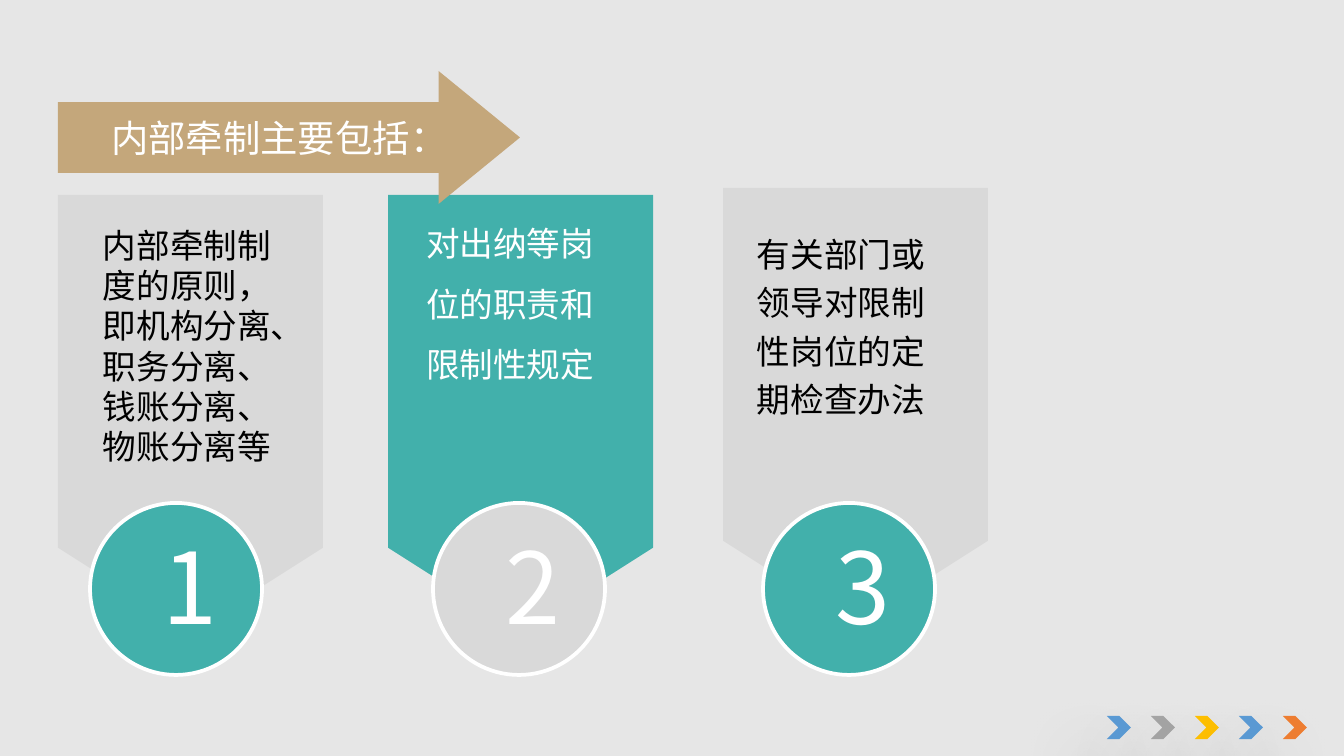
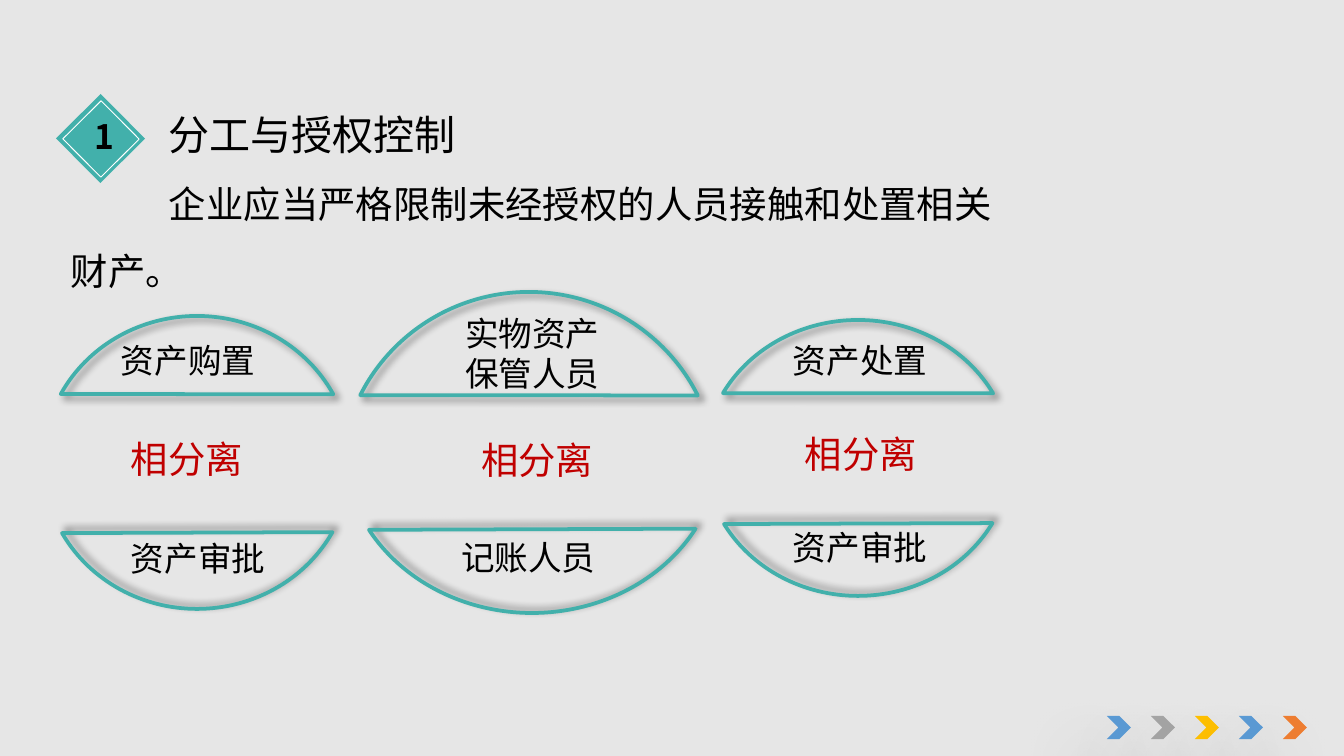
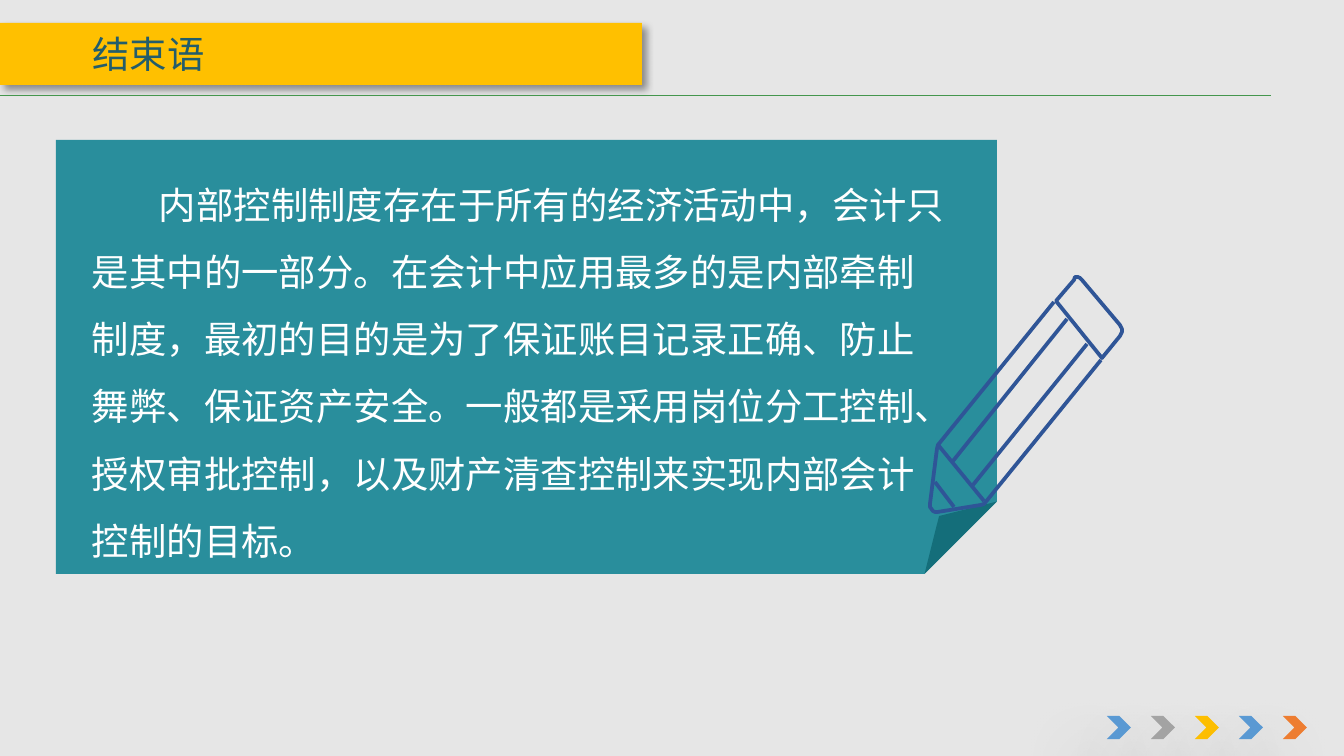
from lxml.etree import SubElement
from pptx import Presentation
from pptx.dml.color import RGBColor
from pptx.enum.shapes import MSO_CONNECTOR, MSO_SHAPE
from pptx.enum.text import MSO_ANCHOR, PP_ALIGN
from pptx.oxml.ns import qn
from pptx.util import Emu, Pt

SCALE = 914400 / 134.4
FONT = "Noto Sans CJK SC"
COLORS = {
    "back": "E6E6E6", "white": "FFFFFF", "black": "000000",
    "teal": "42B0AB", "gray": "D9D9D9", "sand": "C4A77B",
    "red": "C00000", "gold": "FFC000", "sky": "5B9BD5",
    "steel": "A5A5A5", "orange": "ED7D31", "note": "178695",
    "ink": "235D6B", "pen": "2F5597", "rule": "44964D",
}
CAST = (40, 4, 3, 45)
LIFT = (40, 4, 3, 315)
GLOW = (38, 36, 24, 130)


def px(size):
    return Emu(round(size * SCALE))


def color(name):
    return RGBColor.from_string(COLORS[name])


class Deck:
    def __init__(self):
        self.file = Presentation()
        self.file.slide_width = px(1344)
        self.file.slide_height = px(756)
        self.slide = None

    def page(self):
        self.slide = self.file.slides.add_slide(self.file.slide_layouts[6])
        fill = self.slide.background.fill
        fill.solid()
        fill.fore_color.rgb = color("back")
        for i, name in enumerate(("sky", "steel", "gold", "sky", "orange")):
            self.shape(MSO_SHAPE.CHEVRON, 1107 + 44 * i, 716, 24, 23, name, cast=GLOW)

    def style(self, shape, fill=None, line=None, width=2, cast=None):
        shape.shadow.inherit = False
        if fill:
            shape.fill.solid()
            shape.fill.fore_color.rgb = color(fill)
        else:
            shape.fill.background()
        if line:
            shape.line.color.rgb = color(line)
            shape.line.width = Pt(width)
        else:
            shape.line.fill.background()
        if cast:
            self.shade(shape, *cast)

    def shade(self, shape, alpha, blur, gap, angle):
        effects = shape._element.spPr.find(qn("a:effectLst"))
        outer = SubElement(effects, qn("a:outerShdw"), blurRad=str(Pt(blur)),
                           dist=str(Pt(gap)), dir=str(angle * 60000),
                           algn="tl", rotWithShape="0")
        tint = SubElement(outer, qn("a:srgbClr"), val=COLORS["black"])
        SubElement(tint, qn("a:alpha"), val=str(alpha * 1000))

    def shape(self, kind, x, y, w, h, fill=None, line=None, width=2,
              cast=None, turn=0, tweak=(), flip=False, alpha=100):
        shape = self.slide.shapes.add_shape(kind, px(x), px(y), px(w), px(h))
        for i, value in enumerate(tweak):
            shape.adjustments[i] = value
        shape.rotation = turn
        self.style(shape, fill, line, width, cast)
        if flip:
            shape._element.spPr.xfrm.set("flipV", "1")
        if alpha < 100:
            tint = shape._element.spPr.find(qn("a:solidFill"))[0]
            SubElement(tint, qn("a:alpha"), val=str(alpha * 1000))

    def text(self, lines, x, y, w, h, size=18, ink="black", space=1, indent=0,
             align=PP_ALIGN.LEFT, anchor=MSO_ANCHOR.TOP, left=13, bold=False):
        frame = self.slide.shapes.add_textbox(px(x), px(y), px(w), px(h)).text_frame
        frame.word_wrap = True
        frame.vertical_anchor = anchor
        frame.margin_left = px(left)
        if isinstance(lines, str):
            lines = [(lines, size)]
        for i, (words, points) in enumerate(lines):
            para = frame.add_paragraph() if i else frame.paragraphs[0]
            para.text = words
            para.alignment = align
            para.line_spacing = space
            props = para._p.get_or_add_pPr()
            if indent:
                props.set("marL", "0")
                props.set("indent", str(px(indent)))
            font = para.font
            font.size = Pt(points)
            font.bold = bold
            font.name = FONT
            font.color.rgb = color(ink)
            SubElement(props.find(qn("a:defRPr")), qn("a:ea"), typeface=FONT)

    def line(self, x, y, right, end, ink, width):
        line = self.slide.shapes.add_connector(
            MSO_CONNECTOR.STRAIGHT, px(x), px(y), px(right), px(end))
        line.line.color.rgb = color(ink)
        line.line.width = Pt(width)
        SubElement(line._element.spPr, qn("a:effectLst"))

    def trace(self, points, ink, close):
        pen = self.slide.shapes.build_freeform(*points[0], scale=SCALE)
        pen.add_line_segments(points[1:], close=close)
        self.style(pen.convert_to_shape(), line=ink)


def parts(deck):
    deck.page()
    for x, y, fill in ((-28, 281, "gray"), (302, 281, "teal"), (637, 274, "gray")):
        deck.shape(MSO_SHAPE.PENTAGON, x, y, 437, 265, fill, turn=90, tweak=[0.318])
    deck.text("内部牵制制度的原则，即机构分离、职务分离、钱账分离、物账分离等",
              90, 218, 214, 258)
    deck.text("对出纳等岗位的职责和限制性规定", 426, 218, 190, 173,
              ink="white", space=1.5, anchor=MSO_ANCHOR.BOTTOM, left=0)
    deck.text("有关部门或领导对限制性岗位的定期检查办法", 757, 253, 212, 173,
              space=1.2, anchor=MSO_ANCHOR.BOTTOM, left=0)
    for num, x, fill in (("1", 90, "teal"), ("2", 433, "gray"), ("3", 763, "teal")):
        deck.shape(MSO_SHAPE.OVAL, x, 503, 172, 172, fill, "white")
        deck.text(num, x + 59, 519, 52, 87, 53, "white", align=PP_ALIGN.CENTER)
    deck.shape(MSO_SHAPE.RIGHT_ARROW, 58, 71, 462, 133, "sand", tweak=[0.532, 0.612])
    deck.text("内部牵制主要包括：", 19, 109, 446, 48, 20, "white", indent=79)


def duties(deck):
    deck.page()
    deck.text([("分工与授权控制", 22),
               ("企业应当严格限制未经授权的人员接触和处置相关财产。", 20)],
              58, 78, 972, 214, space=1.5, indent=98)
    caps = (
        ((43, 316, 308, 293), (43, 316, 308, 293)),
        ((704, 320, 308, 282), (704, 312, 308, 284)),
        ((340, 292, 378, 376), (343, 276, 378, 337)),
    )
    for top, base in caps:
        deck.shape(MSO_SHAPE.CHORD, *top, line="teal", cast=CAST,
                   tweak=[124.004, 200.056])
        deck.shape(MSO_SHAPE.CHORD, *base, line="teal", cast=LIFT,
                   tweak=[124.584, 199.666], flip=True)
    labels = (
        ("资产购置", 108, 333, 171, 56), ("资产审批", 118, 531, 171, 56),
        ("资产处置", 780, 333, 171, 54), ("资产审批", 780, 520, 171, 54),
        ("实物资产保管人员", 452, 306, 192, 95), ("记账人员", 448, 530, 192, 54),
    )
    for label in labels:
        deck.text(*label)
    for x, y, w in ((118, 430, 171), (792, 425, 171), (468, 431, 192)):
        deck.text("相分离", x, y, w, 60, 20, "red")
    deck.shape(MSO_SHAPE.RECTANGLE, 69, 107, 63, 63, "teal", turn=45.2)
    deck.shape(MSO_SHAPE.RECTANGLE, 74, 112, 54, 54, line="white", width=0.5, turn=45.2)
    deck.text("1", 82, 118, 40, 36, align=PP_ALIGN.CENTER,
              anchor=MSO_ANCHOR.MIDDLE, bold=True)


def pencil(deck):
    deck.trace([(1120, 325), (1082, 280), (1080, 278), (1078, 277), (1075, 277),
                (1074, 280), (1056, 301), (1102, 358), (1120, 336), (1122, 332),
                (1122, 329), (1121, 327)], "pen", True)
    deck.trace([(1054, 302), (938, 445), (937, 449), (930, 504), (930, 507),
                (933, 511), (935, 512), (938, 512), (981, 505), (984, 504),
                (985, 503), (1101, 360)], "pen", False)
    for ends in ((1087, 344, 973, 485), (953, 461, 1067, 319),
                 (954, 507, 935, 482), (939, 446, 984, 501)):
        deck.line(*ends, "pen", 2)


def closing(deck):
    deck.page()
    deck.shape(MSO_SHAPE.RECTANGLE, 0, 23, 642, 62, "gold", cast=CAST)
    deck.text("结束语", 51, -17, 195, 146, 20, "ink", space=0.9,
              align=PP_ALIGN.CENTER, anchor=MSO_ANCHOR.MIDDLE)
    deck.shape(MSO_SHAPE.FOLDED_CORNER, 56, 140, 941, 434, "note", alpha=91)
    deck.text("内部控制制度存在于所有的经济活动中，会计只是其中的一部分。"
              "在会计中应用最多的是内部牵制制度，最初的目的是为了保证账目记录正确、"
              "防止舞弊、保证资产安全。一般都是采用岗位分工控制、授权审批控制，"
              "以及财产清查控制来实现内部会计控制的目标。",
              79, 153, 883, 421, 20, "white", space=1.5, indent=67)
    pencil(deck)
    deck.line(-159, 95, 1271, 95, "rule", 0.5)


def main():
    deck = Deck()
    parts(deck)
    duties(deck)
    closing(deck)
    deck.file.save("out.pptx")


if __name__ == "__main__":
    main()
